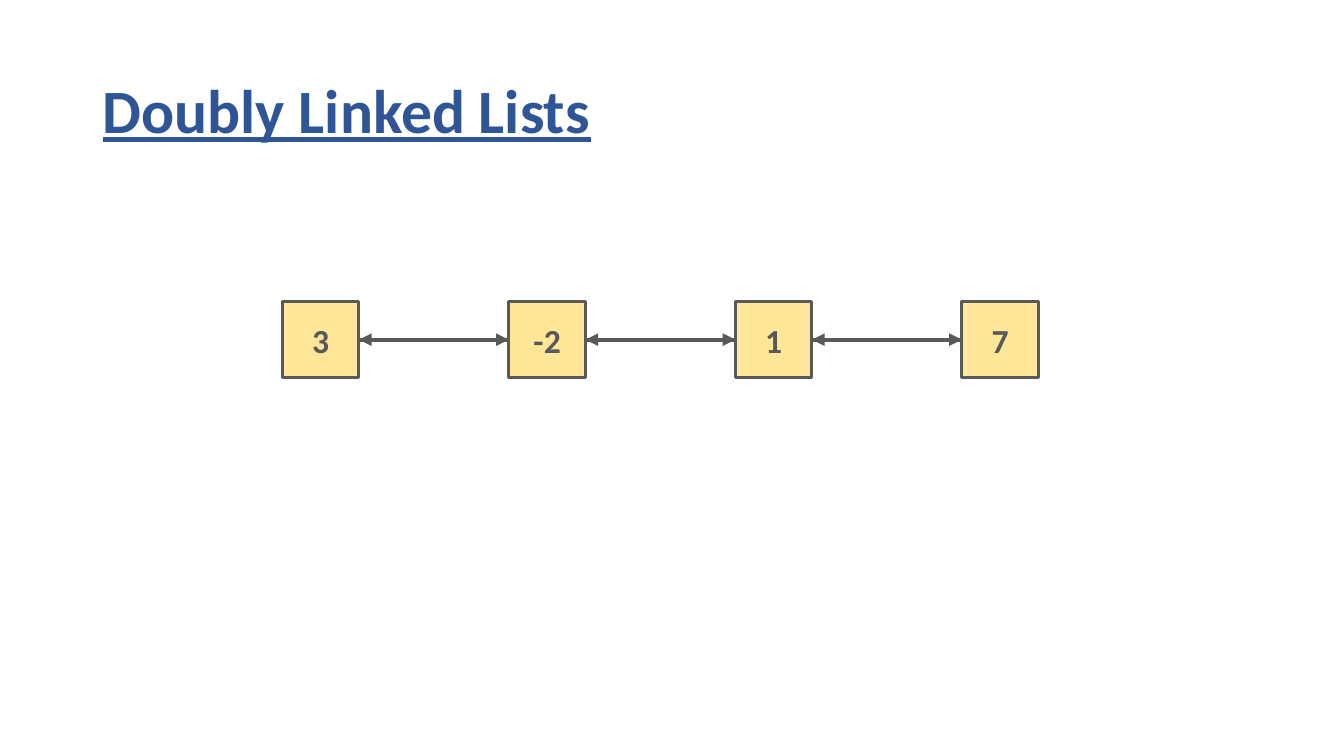
from dataclasses import dataclass

from lxml.etree import SubElement
from pptx import Presentation
from pptx.dml.color import RGBColor
from pptx.enum.shapes import MSO_CONNECTOR, MSO_SHAPE
from pptx.enum.text import MSO_ANCHOR, PP_ALIGN
from pptx.oxml.ns import qn
from pptx.shapes.autoshape import Shape
from pptx.slide import Slide
from pptx.text.text import TextFrame
from pptx.util import Inches, Pt

TITLE_BLUE, NODE_YELLOW, GREY = "2F5597", "FFE699", "595959"
FIRST_LEFT, LAST_LEFT, NODE_TOP, NODE_SIZE = 2.8, 9.54, 2.99, 0.76
RIGHT_SITE, LEFT_SITE = 3, 1  # connection sites of a rectangle


@dataclass
class Node:
    value: str
    left: float


def colour(hex_code: str) -> RGBColor:
    return RGBColor.from_string(hex_code)


def write(frame: TextFrame, text: str, size: int, hex_code: str,
          align: PP_ALIGN, underline: bool = False) -> None:
    frame.word_wrap = True
    frame.vertical_anchor = MSO_ANCHOR.MIDDLE
    paragraph = frame.paragraphs[0]
    paragraph.alignment = align
    run = paragraph.add_run()
    run.text = text
    run.font.name = "Calibri"
    run.font.size = Pt(size)
    run.font.bold = True
    run.font.underline = underline
    run.font.color.rgb = colour(hex_code)


def draw_node(slide: Slide, node: Node) -> Shape:
    box = slide.shapes.add_shape(
        MSO_SHAPE.RECTANGLE, Inches(node.left), Inches(NODE_TOP),
        Inches(NODE_SIZE), Inches(NODE_SIZE))
    box.shadow.inherit = False
    box.fill.solid()
    box.fill.fore_color.rgb = colour(NODE_YELLOW)
    box.line.color.rgb = colour(GREY)
    box.line.width = Pt(2.25)
    write(box.text_frame, node.value, 24, GREY, PP_ALIGN.CENTER)
    return box


def draw_link(slide: Slide, source: Shape, source_site: int,
              target: Shape, target_site: int) -> None:
    link = slide.shapes.add_connector(MSO_CONNECTOR.STRAIGHT, 0, 0, 0, 0)
    link.begin_connect(source, source_site)
    link.end_connect(target, target_site)
    link.line.color.rgb = colour(GREY)
    link.line.width = Pt(3)
    SubElement(link.line._get_or_add_ln(), qn("a:tailEnd"), type="triangle")
    SubElement(link._element.spPr, qn("a:effectLst"))


presentation = Presentation()
presentation.slide_width = Inches(13.33)
presentation.slide_height = Inches(7.5)
slide = presentation.slides.add_slide(presentation.slide_layouts[5])

# Title
heading = slide.shapes.title
heading.left, heading.top = Inches(0.92), Inches(0.4)
heading.width, heading.height = Inches(11.5), Inches(1.45)
write(heading.text_frame, "Doubly Linked Lists", 44, TITLE_BLUE,
      PP_ALIGN.LEFT, underline=True)
heading.text_frame.paragraphs[0].line_spacing = 0.9

# Evenly spaced list nodes
values = ["3", "-2", "1", "7"]
pitch = (LAST_LEFT - FIRST_LEFT) / (len(values) - 1)
boxes = [draw_node(slide, Node(value, FIRST_LEFT + index * pitch))
         for index, value in enumerate(values)]

# Next and previous links between neighbours
for current, following in zip(boxes, boxes[1:]):
    draw_link(slide, current, RIGHT_SITE, following, LEFT_SITE)
    draw_link(slide, following, LEFT_SITE, current, RIGHT_SITE)

presentation.save("out.pptx")
